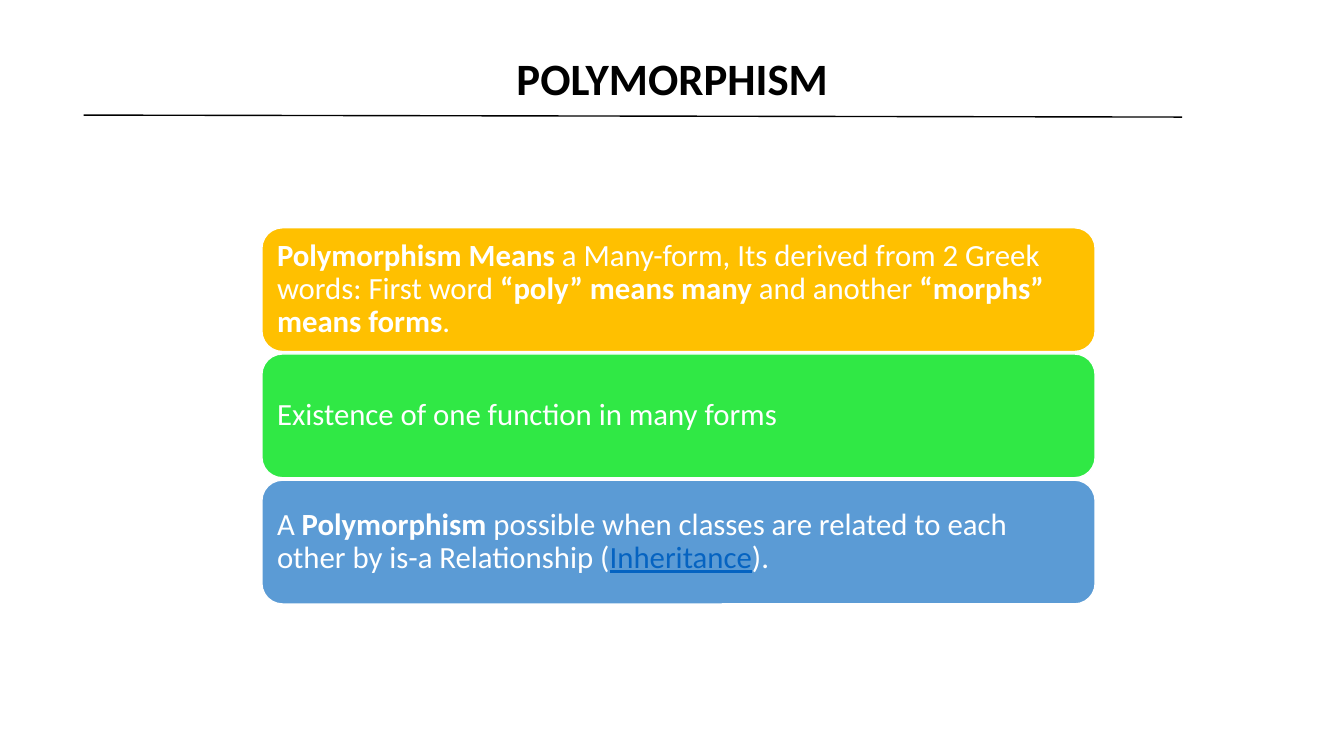
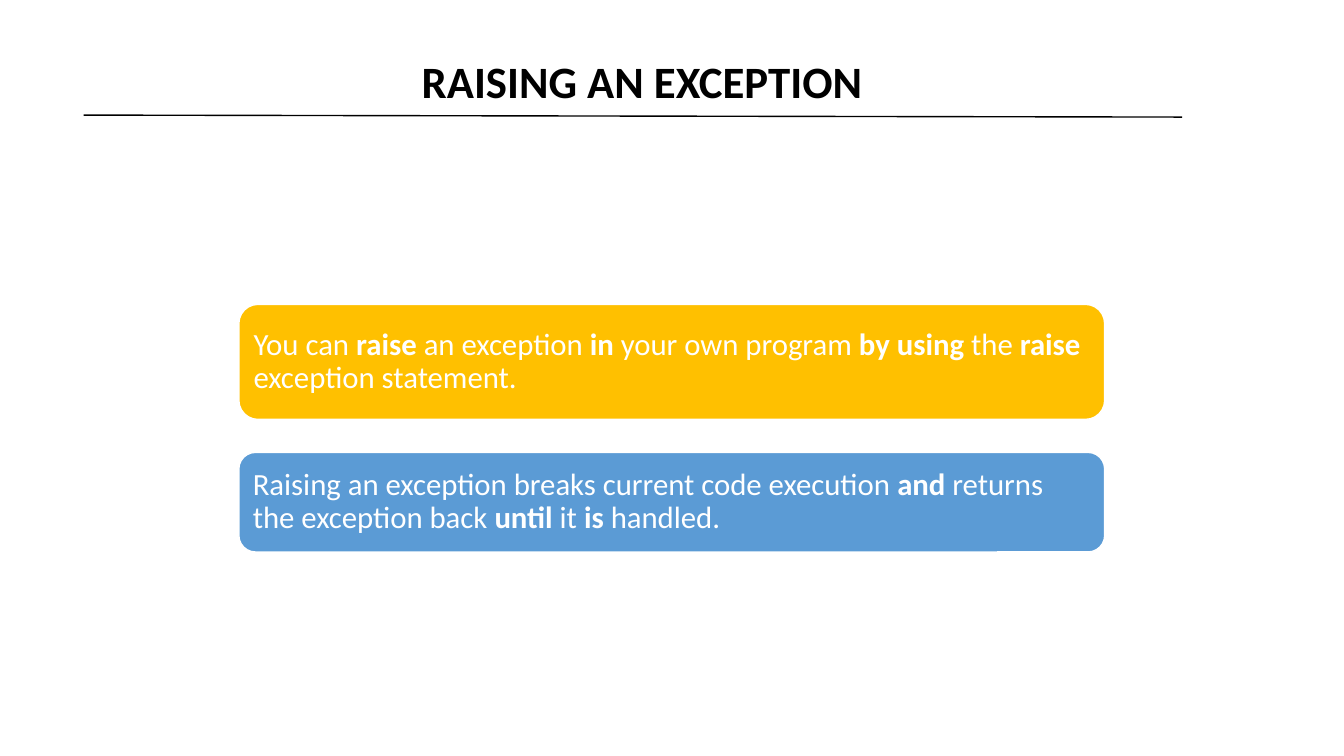
"""Build two slides on polymorphism and on raising exceptions."""
from dataclasses import dataclass
from typing import NamedTuple

import pptx
import pptx.dml.color
import pptx.enum.shapes
import pptx.enum.text
import pptx.oxml
import pptx.presentation
import pptx.slide
import pptx.util

Cm = pptx.util.Cm
Pt = pptx.util.Pt
RGB = pptx.dml.color.RGBColor


@dataclass(frozen=True)
class Theme:
    font: str = "Calibri"
    title_size: int = 32
    card_size: int = 22
    line_spacing: float = 0.9
    ink: RGB = RGB(0x00, 0x00, 0x00)
    paper: RGB = RGB(0xFF, 0xFF, 0xFF)
    amber: RGB = RGB(0xFF, 0xC0, 0x00)
    green: RGB = RGB(0x30, 0xE8, 0x45)
    blue: RGB = RGB(0x5B, 0x9B, 0xD5)
    link: RGB = RGB(0x05, 0x63, 0xC1)


THEME = Theme()


class Box(NamedTuple):
    left: float
    top: float
    width: float
    height: float


class Span(NamedTuple):
    text: str
    bold: bool = False
    linked: bool = False


class Card(NamedTuple):
    box: Box
    fill: RGB
    spans: list[Span]


class Topic(NamedTuple):
    title: str
    title_box: Box
    cards: list[Card]


def emphasis(text: str) -> list[Span]:
    """Split text into spans, bold between asterisks."""
    return [Span(part, bold=index % 2 == 1)
            for index, part in enumerate(text.split("*")) if part]


def add_title(slide: pptx.slide.Slide, title: str, box: Box) -> None:
    """Place and format the slide's title."""
    heading = slide.shapes.title
    heading.left, heading.top, heading.width, heading.height = map(Cm, box)
    frame = heading.text_frame
    frame.text = title
    frame.auto_size = pptx.enum.text.MSO_AUTO_SIZE.NONE
    frame.vertical_anchor = pptx.enum.text.MSO_ANCHOR.MIDDLE
    line = frame.paragraphs[0]
    line.alignment = pptx.enum.text.PP_ALIGN.CENTER
    line.line_spacing = THEME.line_spacing
    line.font.name = THEME.font
    line.font.size = Pt(THEME.title_size)
    line.font.bold = True
    line.font.color.rgb = THEME.ink


def add_title_rule(slide: pptx.slide.Slide) -> None:
    """Draw the thin line under the title."""
    rule = slide.shapes.add_connector(
        pptx.enum.shapes.MSO_CONNECTOR.STRAIGHT,
        Cm(2.11), Cm(2.9), Cm(29.79), Cm(2.95))
    rule.line.color.rgb = THEME.ink
    rule.line.width = Pt(1)
    effects = pptx.oxml.parse_xml(
        '<a:effectLst xmlns:a="http://schemas.openxmlformats.org/drawingml/2006/main"/>')
    rule.element.spPr.append(effects)


def add_card(slide: pptx.slide.Slide, card: Card) -> None:
    """Draw one rounded card with its statement."""
    panel = slide.shapes.add_shape(
        pptx.enum.shapes.MSO_SHAPE.ROUNDED_RECTANGLE, *map(Cm, card.box))
    panel.shadow.inherit = False
    panel.fill.solid()
    panel.fill.fore_color.rgb = card.fill
    panel.line.color.rgb = THEME.paper
    panel.line.width = Pt(1)
    frame = panel.text_frame
    frame.word_wrap = True
    frame.vertical_anchor = pptx.enum.text.MSO_ANCHOR.MIDDLE
    frame.margin_left = frame.margin_right = Cm(0.23)
    frame.margin_top = frame.margin_bottom = Cm(0.23)
    statement = frame.paragraphs[0]
    statement.alignment = pptx.enum.text.PP_ALIGN.LEFT
    statement.line_spacing = THEME.line_spacing
    statement.font.name = THEME.font
    statement.font.size = Pt(THEME.card_size)
    statement.font.color.rgb = THEME.paper
    for span in card.spans:
        run = statement.add_run()
        run.text = span.text
        if span.bold:
            run.font.bold = True
        if span.linked:
            run.font.underline = True
            run.font.color.rgb = THEME.link


def add_topic(deck: pptx.presentation.Presentation, topic: Topic) -> None:
    """Add a slide with title, rule and cards."""
    slide = deck.slides.add_slide(deck.slide_layouts.get_by_name("Title Only"))
    add_title(slide, topic.title, topic.title_box)
    for card in topic.cards:
        add_card(slide, card)
    add_title_rule(slide)


def polymorphism() -> Topic:
    """Describe the slide on polymorphism."""
    statements = [
        (THEME.amber, emphasis(
            "*Polymorphism Means* a Many-form, Its derived from 2 Greek words: "
            "First word *“poly” means many* and another *“morphs” means forms*.")),
        (THEME.green, emphasis("Existence of one function in many forms")),
        (THEME.blue, [
            *emphasis("A *Polymorphism* possible when classes are related "
                      "to each other by is-a Relationship ("),
            Span("Inheritance", linked=True),
            Span(")."),
        ]),
    ]
    top, height, gap = 5.74, 3.12, 0.06
    cards = [Card(Box(6.6, top + row * (height + gap), 21, height), fill, spans)
             for row, (fill, spans) in enumerate(statements)]
    return Topic("POLYMORPHISM", Box(2.34, 1.17, 29.21, 1.75), cards)


def raising() -> Topic:
    """Describe the slide on raising an exception."""
    left, width = 6.02, 21.82
    return Topic("RAISING AN EXCEPTION", Box(2.34, 1.3, 27.69, 1.63), [
        Card(Box(left, 7.67, width, 2.9), THEME.amber, emphasis(
            "You can *raise* an exception *in* your own program *by using* "
            "the *raise* exception statement.")),
        Card(Box(left, 11.4, width, 2.51), THEME.blue, emphasis(
            "Raising an exception breaks current code execution *and* returns "
            "the exception back *until* it *is* handled.")),
    ])


def main() -> None:
    """Build and save the deck."""
    deck = pptx.Presentation()
    deck.slide_width, deck.slide_height = Cm(33.87), Cm(19.05)
    for topic in (polymorphism(), raising()):
        add_topic(deck, topic)
    deck.save("out.pptx")


if __name__ == "__main__":
    main()
